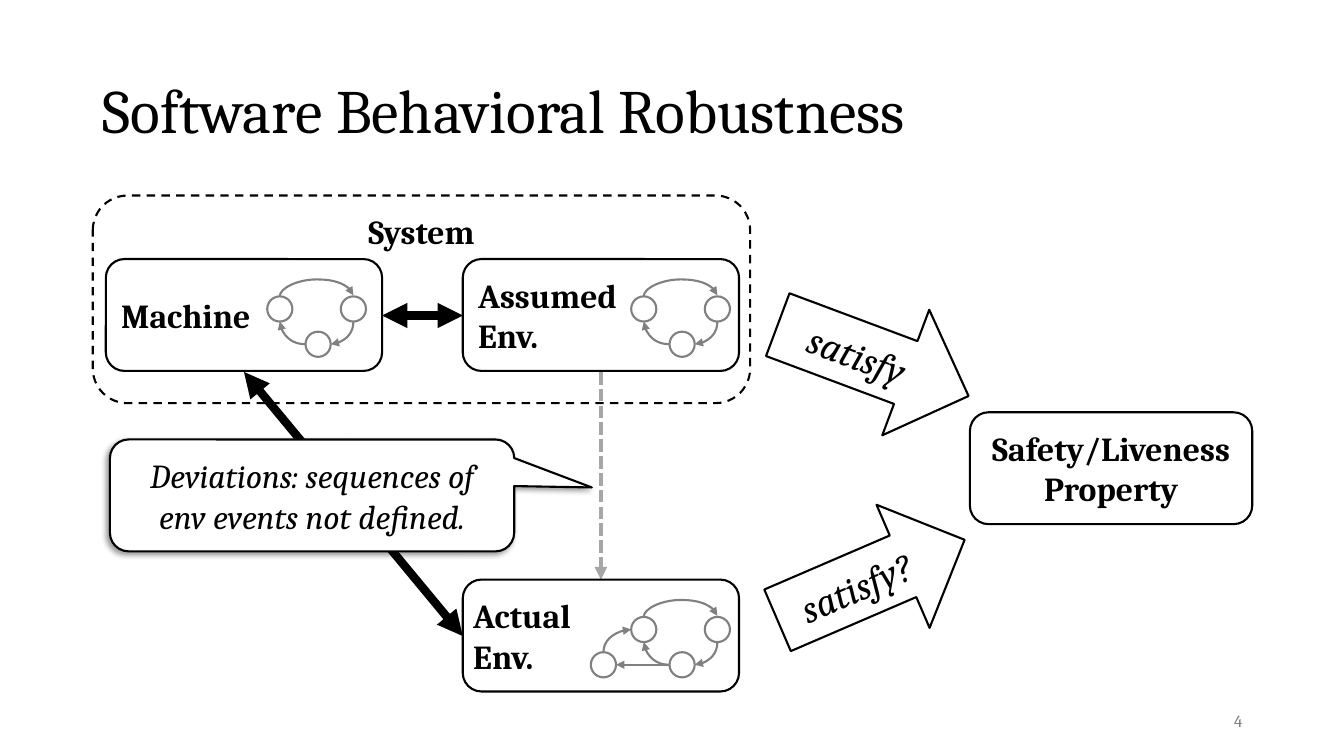
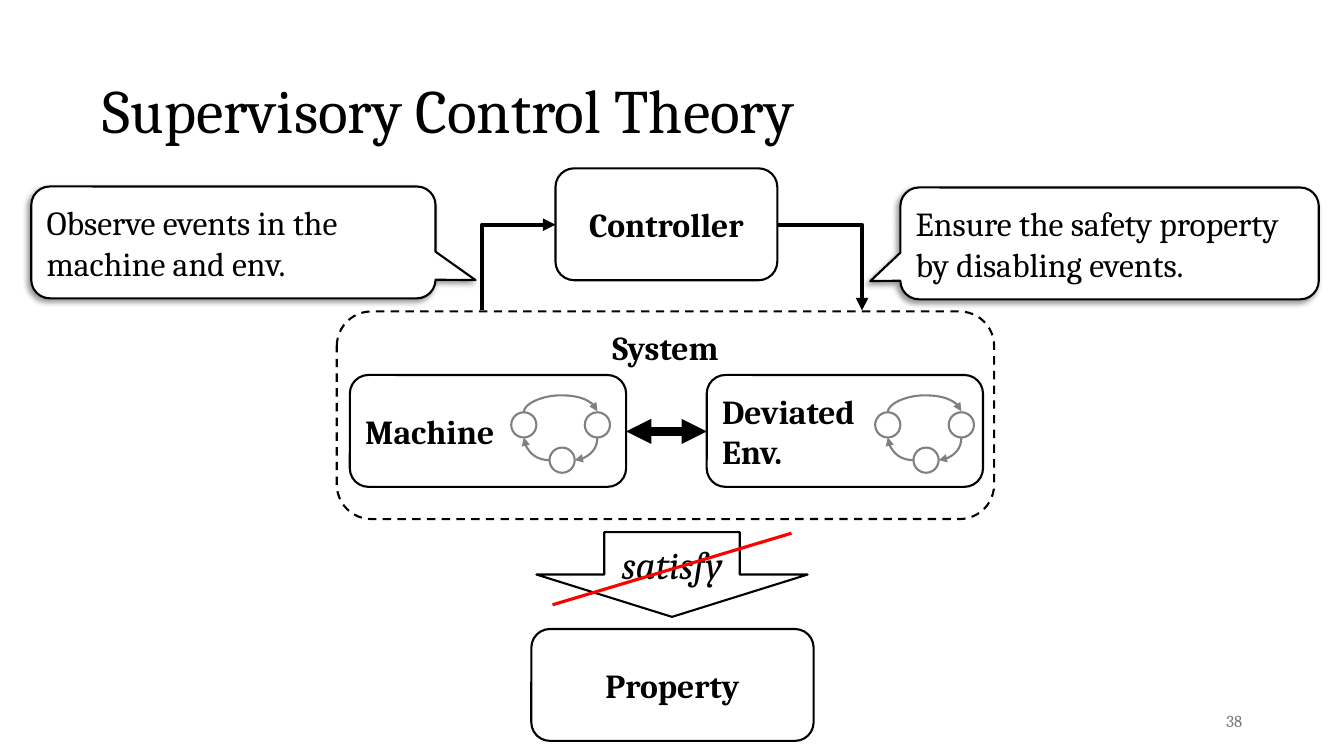
from lxml import etree
from pptx import Presentation
from pptx.dml.color import RGBColor
from pptx.enum.dml import MSO_LINE
from pptx.enum.shapes import MSO_CONNECTOR, MSO_SHAPE
from pptx.enum.text import MSO_ANCHOR, MSO_AUTO_SIZE, PP_ALIGN
from pptx.oxml.ns import qn
from pptx.util import Inches, Pt

BLACK = RGBColor(0, 0, 0)
WHITE = RGBColor(255, 255, 255)
GRAY = RGBColor(0x80, 0x80, 0x80)
LIGHT_GRAY = RGBColor(0xA6, 0xA6, 0xA6)
NUMBER_GRAY = RGBColor(0x79, 0x79, 0x79)
RED = RGBColor(255, 0, 0)

LEFT, CENTER, RIGHT = PP_ALIGN.LEFT, PP_ALIGN.CENTER, PP_ALIGN.RIGHT
TOP, MIDDLE = MSO_ANCHOR.TOP, MSO_ANCHOR.MIDDLE
DASH, DOTS = MSO_LINE.DASH, MSO_LINE.SQUARE_DOT
ROUNDED, OVAL = MSO_SHAPE.ROUNDED_RECTANGLE, MSO_SHAPE.OVAL
CALLOUT = MSO_SHAPE.ROUNDED_RECTANGULAR_CALLOUT
RIGHT_ARROW, DOWN_ARROW = MSO_SHAPE.RIGHT_ARROW, MSO_SHAPE.DOWN_ARROW
STRAIGHT, ELBOW, CURVE = MSO_CONNECTOR.STRAIGHT, MSO_CONNECTOR.ELBOW, MSO_CONNECTOR.CURVE

TITLE_ONLY = 5
BOX_WIDTH, BOX_HEIGHT = 2.74, 1.11
STATE_SIZE = 0.25
OVAL_SITES = {"top": (0, 0.5, 0), "left": (2, 0, 0.5), "bottom": (4, 0.5, 1), "right": (6, 1, 0.5)}

LABEL = {"size": Pt(24), "name": "Cambria", "bold": True}
CALLOUT_TEXT = {"size": Pt(24), "name": "Cambria"}
DEVIATION_TEXT = {**CALLOUT_TEXT, "italic": True}
RELATION = {"size": Pt(28), "name": "Cambria", "italic": True}
TITLE = {"size": Pt(44), "name": "Cambria"}
NUMBER = {"size": Pt(12), "name": "Cambria"}


def write(shape, lines, format_values, align=CENTER, anchor=MIDDLE, color=BLACK):
    """Fill a shape with formatted paragraphs."""
    frame = shape.text_frame
    frame.word_wrap = True
    frame.auto_size = MSO_AUTO_SIZE.NONE
    frame.vertical_anchor = anchor
    frame.text = "\n".join(lines)
    for paragraph in frame.paragraphs:
        paragraph.alignment = align
        for name, value in format_values.items():
            setattr(paragraph.font, name, value)
        paragraph.font.color.rgb = color


def add_outline(shapes, kind, area, color=BLACK, dash=None):
    """Add a white preset shape with a thin outline."""
    shape = shapes.add_shape(kind, *map(Inches, area))
    shape.shadow.inherit = False
    shape.fill.solid()
    shape.fill.fore_color.rgb = WHITE
    shape.line.color.rgb = color
    shape.line.width = Pt(1.5)
    if dash:
        shape.line.dash_style = dash
    return shape


def add_box(shapes, area, lines, align=CENTER):
    """Add a rounded box with a bold label."""
    box = add_outline(shapes, ROUNDED, area)
    write(box, lines, LABEL, align)
    return box


def add_callout(shapes, area, pointer, text, format_values=CALLOUT_TEXT, align=LEFT):
    """Add a rounded callout with a soft shadow."""
    callout = add_outline(shapes, CALLOUT, area)
    for index, value in enumerate((*pointer, 0.167)):
        callout.adjustments[index] = value
    effects = callout._element.spPr.find(qn("a:effectLst"))
    shadow = etree.SubElement(effects, qn("a:outerShdw"), blurRad=str(Pt(4)),
                              dist=str(Pt(3)), dir="8100000", rotWithShape="0")
    shade = etree.SubElement(shadow, qn("a:srgbClr"), val=str(BLACK))
    etree.SubElement(shade, qn("a:alpha"), val="40000")
    write(callout, [text], format_values, align)


def add_relation(shapes, kind, area, text, rotation=0):
    """Add a block arrow naming a relation."""
    arrow = add_outline(shapes, kind, area)
    arrow.rotation = rotation
    write(arrow, [text], RELATION)


def connect(shapes, begin, end, kind=STRAIGHT, color=BLACK, width=6, dash=None,
            ends=("tailEnd",), preset=None, adjust=None, quarter_turns=0):
    """Add a connector, laid out before the given quarter turns."""
    middle = [(first + last) / 2 for first, last in zip(begin, end)]
    across, down = end[0] - begin[0], end[1] - begin[1]
    for _ in range(quarter_turns):
        across, down = down, -across
    half = (across / 2, down / 2)
    points = [middle[axis] + sign * half[axis] for sign in (-1, 1) for axis in (0, 1)]
    connector = shapes.add_connector(kind, *map(Inches, points))
    connector.line.color.rgb = color
    connector.line.width = Pt(width)
    if dash:
        connector.line.dash_style = dash
    properties = connector._element.spPr
    if quarter_turns:
        properties.find(qn("a:xfrm")).set("rot", str(quarter_turns * 5400000))
    geometry = properties.find(qn("a:prstGeom"))
    if preset:
        geometry.set("prst", preset)
    if adjust:
        etree.SubElement(geometry.find(qn("a:avLst")), qn("a:gd"),
                         name="adj1", fmla=f"val {adjust}")
    for tag in ends:
        etree.SubElement(properties.find(qn("a:ln")), qn(f"a:{tag}"), type="triangle")
    etree.SubElement(properties, qn("a:effectLst"))
    return connector


def glue(connector, tag, shape, site):
    """Attach one end of a connector to a site of a shape."""
    holder = connector._element.find(qn("p:nvCxnSpPr")).find(qn("p:cNvCxnSpPr"))
    etree.SubElement(holder, qn(f"a:{tag}"), id=str(shape.shape_id), idx=str(site))


def add_double_arrow(shapes, begin, end):
    """Add a thick arrow with two heads."""
    connect(shapes, begin, end, ends=("headEnd", "tailEnd"))


def add_transition(shapes, source, source_side, target, target_side, lift=0, **layout):
    """Join two states with a thin gray arrow."""
    points = []
    for state, side in ((source, source_side), (target, target_side)):
        _, across, down = OVAL_SITES[side]
        points.append((state.left.inches + across * STATE_SIZE,
                       state.top.inches + down * STATE_SIZE))
    begin, (end_x, end_y) = points
    connector = connect(shapes, begin, (end_x, end_y - lift), color=GRAY, width=1.5, **layout)
    glue(connector, "stCxn", source, OVAL_SITES[source_side][0])
    glue(connector, "endCxn", target, OVAL_SITES[target_side][0])


def add_automaton_box(slide, left, top, lines, inset=1.67, extra_state=False):
    """Add a grouped box with its label and state machine."""
    shapes = slide.shapes.add_group_shape().shapes
    box = add_box(shapes, (left, top, BOX_WIDTH, BOX_HEIGHT), lines, LEFT)
    offsets = [(0, 0), (0.73, 0), (0.38, 0.35)]
    if extra_state:
        box.text_frame.margin_left = Inches(0.05)
        offsets.append((-0.4, 0.35))
    states = [add_outline(shapes, OVAL, (left + inset + across, top + 0.37 + down,
                                         STATE_SIZE, STATE_SIZE), GRAY)
              for across, down in offsets]
    first, second, third = states[:3]
    quarter_arc = {"kind": CURVE, "preset": "curvedConnector2"}
    add_transition(shapes, first, "top", second, "top", lift=0.01,
                   kind=CURVE, adjust=1700000, quarter_turns=1)
    add_transition(shapes, second, "bottom", third, "right", quarter_turns=1, **quarter_arc)
    add_transition(shapes, third, "left", first, "bottom", quarter_turns=2, **quarter_arc)
    if extra_state:
        add_transition(shapes, third, "left", states[3], "right")
        add_transition(shapes, states[3], "top", first, "left", quarter_turns=1, **quarter_arc)


def add_system(slide, left, top, environment):
    """Add the dashed system with its machine and environment."""
    system = add_outline(slide.shapes, ROUNDED, (left, top, 6.52, 2.06), dash=DASH)
    write(system, ["System"], LABEL, anchor=TOP)
    add_automaton_box(slide, left + 0.13, top + 0.63, ["Machine"], inset=1.6)
    add_automaton_box(slide, left + 3.67, top + 0.63, [environment, "Env."])
    add_double_arrow(slide.shapes, (left + 2.87, top + 1.19), (left + 3.67, top + 1.19))


def start_slide(presentation, title, number):
    """Add a slide with its title and number."""
    slide = presentation.slides.add_slide(presentation.slide_layouts[TITLE_ONLY])
    heading = slide.shapes.title
    area = {"left": 0.92, "top": 0.4, "width": 11.5, "height": 1.45}
    for name, value in area.items():
        setattr(heading, name, Inches(value))
    write(heading, [title], TITLE, LEFT)
    heading.text_frame.paragraphs[0].line_spacing = 0.9
    footer = slide.shapes.add_textbox(*map(Inches, (9.42, 6.95, 3, 0.4)))
    write(footer, [number], NUMBER, RIGHT, color=NUMBER_GRAY)
    return slide


def build_robustness(presentation):
    """Build the slide on behavioral robustness."""
    slide = start_slide(presentation, "Software Behavioral Robustness", "4")
    shapes = slide.shapes
    add_system(slide, 0.92, 1.94, "Assumed")
    add_box(shapes, (9.62, 4.09, 2.8, BOX_HEIGHT), ["Safety/Liveness Property"])
    add_double_arrow(shapes, (2.42, 3.69), (4.59, 6.31))
    add_relation(shapes, RIGHT_ARROW, (7.65, 2.91, 2.02, 1.33), "satisfy", 20.5)
    connect(shapes, (5.96, 3.69), (5.96, 5.75), color=LIGHT_GRAY, width=3, dash=DOTS)
    add_callout(shapes, (1.09, 4.36, 4.01, BOX_HEIGHT), (0.692, -0.071),
                "Deviations: sequences of env events not defined.", DEVIATION_TEXT, CENTER)
    add_relation(shapes, RIGHT_ARROW, (7.63, 5.09, 2.02, 1.33), "satisfy?", 336.7)
    add_automaton_box(slide, 4.59, 5.75, ["Actual", "Env."], extra_state=True)


def build_control_theory(presentation):
    """Build the slide on supervisory control."""
    slide = start_slide(presentation, "Supervisory Control Theory", "38")
    shapes = slide.shapes
    add_system(slide, 3.34, 3.09, "Deviated")
    add_box(shapes, (5.27, 6.24, 2.8, BOX_HEIGHT), ["Property"])
    add_relation(shapes, DOWN_ARROW, (5.32, 5.28, 2.69, 0.84), "satisfy")
    controller = add_box(shapes, (5.51, 1.67, 2.2, BOX_HEIGHT), ["Controller"])
    elbow = {"kind": ELBOW, "preset": "bentConnector2", "width": 3}
    observation = connect(shapes, (4.78, 3.08), (5.51, 2.23), quarter_turns=1, **elbow)
    glue(observation, "endCxn", controller, 1)
    command = connect(shapes, (7.71, 2.23), (8.55, 3.08), **elbow)
    glue(command, "stCxn", controller, 3)
    add_callout(shapes, (0.31, 1.85, 4.01, BOX_HEIGHT), (0.599, 0.337),
                "Observe events in the machine and env.")
    add_callout(shapes, (8.93, 1.86, 4.15, BOX_HEIGHT), (-0.572, 0.337),
                "Ensure the safety property by disabling events.")
    connect(shapes, (7.85, 5.29), (5.48, 6), color=RED, width=2.25, ends=())


def main():
    """Build and save the presentation."""
    presentation = Presentation()
    presentation.slide_width = Inches(13.33)
    presentation.slide_height = Inches(7.5)
    build_robustness(presentation)
    build_control_theory(presentation)
    presentation.save("out.pptx")


if __name__ == "__main__":
    main()
